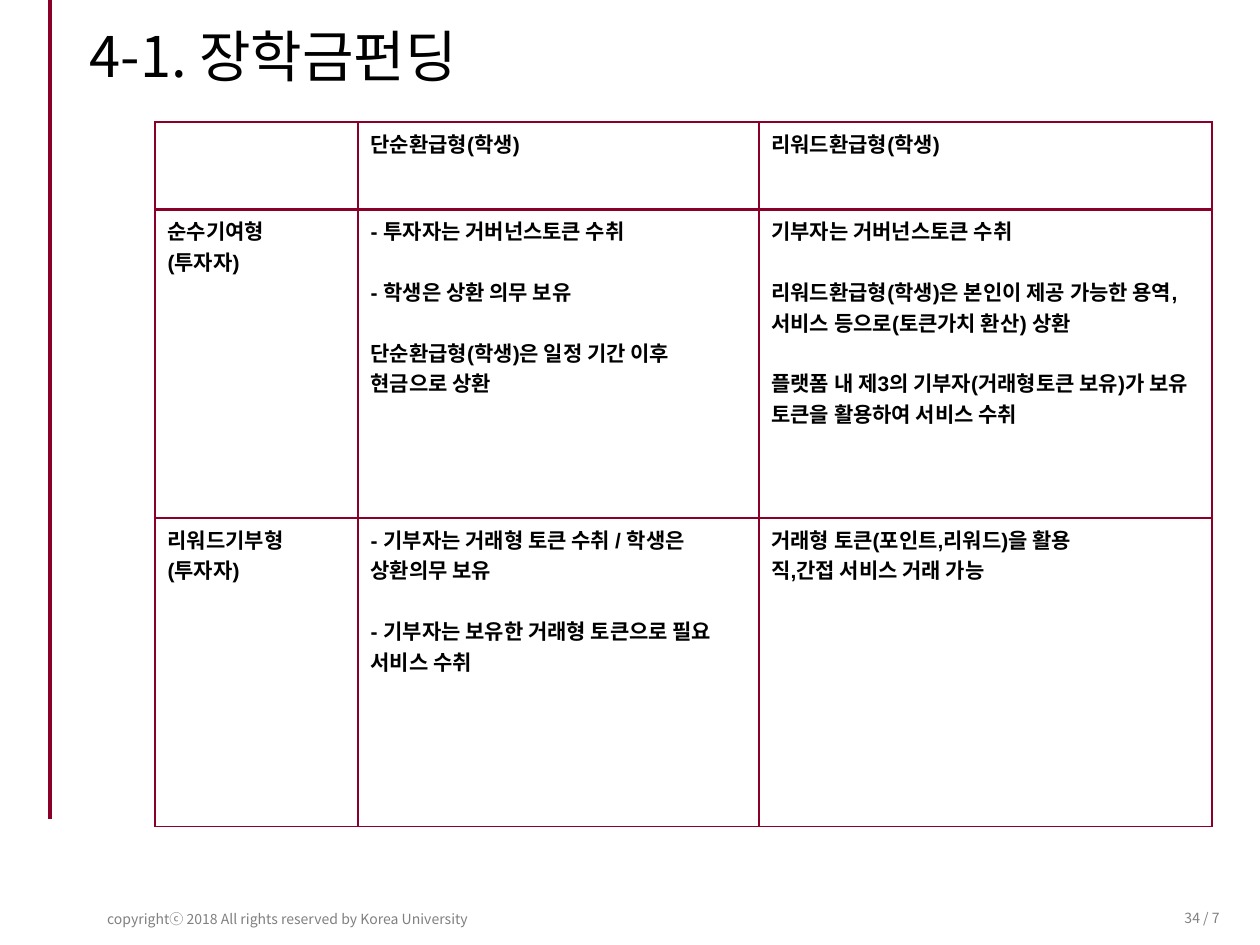
from lxml.etree import SubElement
from pptx import Presentation
from pptx.dml.color import RGBColor
from pptx.enum.shapes import MSO_CONNECTOR
from pptx.enum.text import MSO_ANCHOR, MSO_AUTO_SIZE, PP_ALIGN
from pptx.oxml import parse_xml
from pptx.oxml.ns import nsdecls, qn
from pptx.util import Pt

HUES = {"wine": "8B0028", "gray": "808080", "black": "000000", "white": "FFFFFF"}
NOTO = "Noto Sans CJK KR"
COLS = [116, 229, 259]
ROWS = [49.7, 176.4, 176.4]
GAP = 17.4
TABLE = [
    [[], ["단순환급형(학생)"], ["리워드환급형(학생)"]],
    [
        ["순수기여형", "(투자자)"],
        ["- 투자자는 거버넌스토큰 수취",
         "- 학생은 상환 의무 보유",
         "단순환급형(학생)은 일정 기간 이후 현금으로 상환"],
        ["기부자는 거버넌스토큰 수취",
         "리워드환급형(학생)은 본인이 제공 가능한 용역, 서비스 등으로(토큰가치 환산) 상환",
         "플랫폼 내 제3의 기부자(거래형토큰 보유)가 보유 토큰을 활용하여 서비스 수취"],
    ],
    [
        ["리워드기부형", "(투자자)"],
        ["- 기부자는 거래형 토큰 수취 / 학생은 상환의무 보유",
         "- 기부자는 보유한 거래형 토큰으로 필요 서비스 수취"],
        ["거래형 토큰(포인트,리워드)을 활용", "직,간접 서비스 거래 가능"],
    ],
]
SPACED = {(1, 1), (1, 2), (2, 1)}


def color(name):
    return RGBColor.from_string(HUES[name])


def style(para, size, hue, face=NOTO, bold=False):
    font = para.font
    font.size, font.bold, font.name = Pt(size), bold, face
    font.color.rgb = color(hue)
    props = para._p.pPr.find(qn("a:defRPr"))
    SubElement(props, qn("a:ea")).set("typeface", NOTO)


def add_title(slide, text):
    title = slide.shapes.title
    title.left, title.top, title.width, title.height = map(Pt, (44, 13.7, 521, 40.3))
    frame = title.text_frame
    frame.text = text
    frame.auto_size = MSO_AUTO_SIZE.NONE
    frame.vertical_anchor = MSO_ANCHOR.MIDDLE
    para = frame.paragraphs[0]
    para.alignment = PP_ALIGN.LEFT
    para.line_spacing = 0.9
    style(para, 32, "black")


def add_note(slide, text, box, align):
    frame = slide.shapes.add_textbox(*map(Pt, box)).text_frame
    frame.word_wrap = True
    frame.vertical_anchor = MSO_ANCHOR.MIDDLE
    para = frame.paragraphs[0]
    para.text = text
    para.alignment = align
    style(para, 8, "gray")


def add_rule(slide, left, end):
    rule = slide.shapes.add_connector(
        MSO_CONNECTOR.STRAIGHT, Pt(left), Pt(0), Pt(left), Pt(end))
    rule.line.color.rgb = color("wine")
    rule.line.width = Pt(2.25)
    SubElement(rule._element.spPr, qn("a:effectLst"))


def add_edges(cell, widths):
    props = cell._tc.get_or_add_tcPr()
    for spot, (side, width) in enumerate(zip("LRTB", widths)):
        props.insert(spot, parse_xml(
            f'<a:ln{side} {nsdecls("a")} w="{Pt(width)}"><a:solidFill>'
            f'<a:srgbClr val="{HUES["wine"]}"/></a:solidFill></a:ln{side}>'))


def fill_cell(cell, lines, gap):
    cell.fill.solid()
    cell.fill.fore_color.rgb = color("white")
    frame = cell.text_frame
    frame.text = "\n".join(lines)
    for num, para in enumerate(frame.paragraphs):
        if num and gap:
            para.space_before = Pt(gap)
        style(para, 12, "black", "Arial", True)


def add_grid(slide):
    frame = slide.shapes.add_table(
        len(ROWS), len(COLS), Pt(88.6), Pt(69.8), Pt(sum(COLS)), Pt(sum(ROWS)))
    table = frame.table
    table.first_row = table.horz_banding = False
    for col, width in zip(table.columns, COLS):
        col.width = Pt(width)
    for row, height in zip(table.rows, ROWS):
        row.height = Pt(height)
    for r, row in enumerate(TABLE):
        for c, lines in enumerate(row):
            cell = table.cell(r, c)
            fill_cell(cell, lines, GAP if (r, c) in SPACED else 0)
            add_edges(cell, (1, 1, 2 if r == 1 else 1, 2 if r == 0 else 1))


def main():
    deck = Presentation()
    deck.slide_width, deck.slide_height = Pt(720), Pt(540)
    slide = deck.slides.add_slide(deck.slide_layouts[5])
    add_note(slide, "34 / 7", (656.6, 517.7, 47.5, 13.7), PP_ALIGN.RIGHT)
    add_note(slide, "copyrightⓒ 2018 All rights reserved by Korea University",
             (42.5, 516.2, 244, 17.3), PP_ALIGN.CENTER)
    add_rule(slide, 28.8, 468)
    add_title(slide, "4-1. 장학금펀딩")
    add_grid(slide)
    deck.save("out.pptx")


if __name__ == "__main__":
    main()
